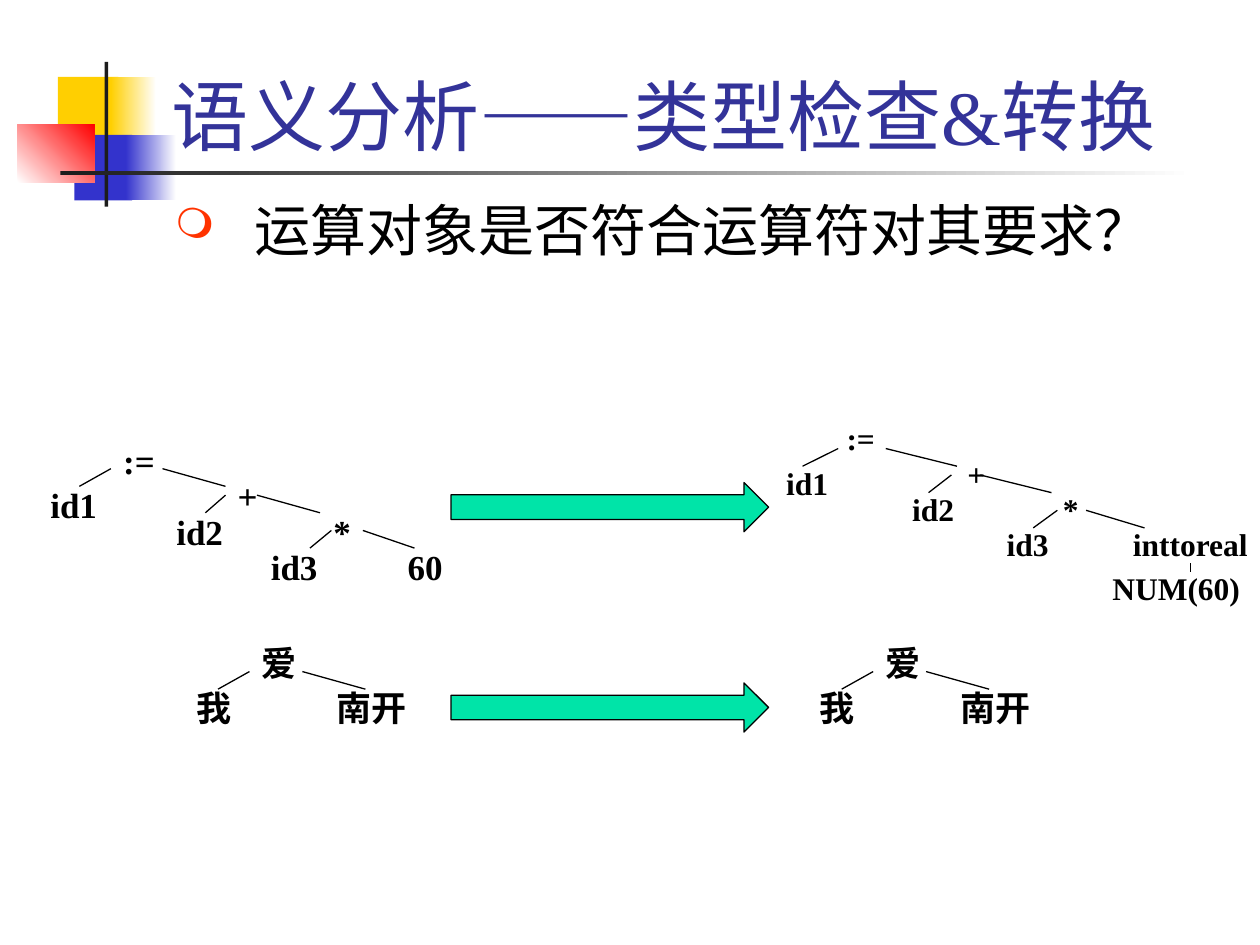
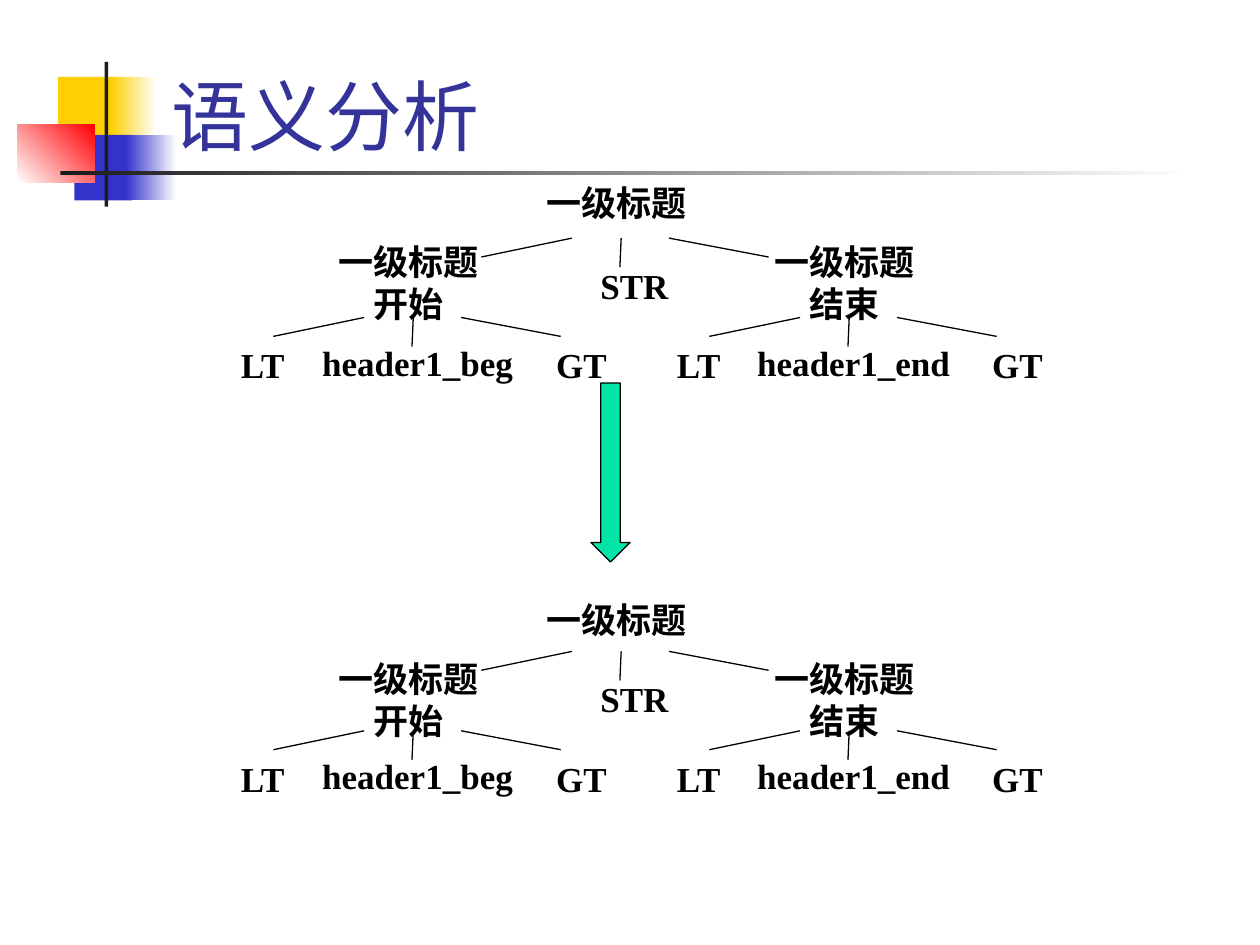
from lxml import etree
from pptx import Presentation
from pptx import util as u
from pptx.dml.color import RGBColor
from pptx.enum import lang, shapes, text
from pptx.oxml.ns import qn

PX = 9144
FONT = "Times New Roman"
COLORS = {
    "white": "FFFFFF",
    "black": "000000",
    "title": "333399",
    "bullet": "FF3300",
    "arrow": "00E4A8",
    "gold": "FFCF01",
    "blue": "3333CC",
    "red": "FF0000",
    "rule": "1C1C1C",
}

BANDS = [
    ((46, 61, 48, 52), ["gold"], 0),
    ((88, 61, 36, 52), ["gold", "white"], 0),
    ((59, 107, 46, 52), ["blue"], 0),
    ((100, 107, 40, 52), ["blue", "white"], 0),
    ((14, 99, 61, 46), ["white", "red"], 45),
    ((83, 49, 3, 115), ["rule"], 0),
    ((48, 136, 900, 3), ["rule", "white"], 0),
]

EXPRESSION_NODES = [
    (":=", 88, 344, 67),
    ("id1", -4, 379, 125),
    ("id2", 96, 400, 125),
    ("id3", 171, 428, 125),
    ("+", 163, 372, 67),
    ("*", 238, 400, 67),
]
EXPRESSION_BRANCHES = [
    (63, 386, 25, -14),
    (129, 372, 50, 14),
    (204, 393, 50, 14),
    (288, 421, 41, 14),
    (246, 435, 17, -14),
    (163, 407, 16, -14),
]


def px(*lengths):
    return [u.Emu(round(length * PX)) for length in lengths]


def rgb(name):
    return RGBColor.from_string(COLORS[name])


def add_text(slide, words, box, size=20, color="black", bold=True,
             align=text.PP_ALIGN.CENTER, anchor=text.MSO_ANCHOR.TOP, bullet=None):
    frame = slide.shapes.add_textbox(*px(*box)).text_frame
    frame.word_wrap = True
    frame.vertical_anchor = anchor
    paragraph = frame.paragraphs[0]
    paragraph.alignment = align
    if bullet:
        add_bullet(paragraph, bullet)
    run = paragraph.add_run()
    run.text = words
    font = run.font
    font.name = FONT
    font.size = u.Pt(size)
    font.bold = bold
    font.color.rgb = rgb(color)
    font.language_id = lang.MSO_LANGUAGE_ID.SIMPLIFIED_CHINESE


def add_bullet(paragraph, mark, indent=63):
    properties = paragraph._p.get_or_add_pPr()
    properties.set("marL", str(indent * PX))
    properties.set("indent", str(-indent * PX))
    color = etree.SubElement(properties, qn("a:buClr"))
    etree.SubElement(color, qn("a:srgbClr"), val=COLORS["bullet"])
    etree.SubElement(properties, qn("a:buSzPct"), val="75000")
    etree.SubElement(properties, qn("a:buChar"), char=mark)


def add_band(slide, box, tones, angle):
    band = slide.shapes.add_shape(shapes.MSO_SHAPE.RECTANGLE, *px(*box))
    band.shadow.inherit = False
    band.line.fill.background()
    if len(tones) == 1:
        band.fill.solid()
        band.fill.fore_color.rgb = rgb(tones[0])
    else:
        band.fill.gradient()
        band.fill.gradient_angle = angle
        for stop, tone in zip(band.fill.gradient_stops, tones):
            stop.color.rgb = rgb(tone)


def add_arrow(slide, direction, box):
    arrow = slide.shapes.add_shape(direction, *px(*box))
    arrow.shadow.inherit = False
    arrow.fill.solid()
    arrow.fill.fore_color.rgb = rgb("arrow")
    arrow.line.color.rgb = rgb("black")
    arrow.line.width = u.Pt(0.75)


def add_branch(slide, x, y, dx, dy):
    branch = slide.shapes.add_connector(
        shapes.MSO_CONNECTOR.STRAIGHT, *px(x, y, x + dx, y + dy))
    branch.line.color.rgb = rgb("black")
    branch.line.width = u.Pt(0.75)
    etree.SubElement(branch._element.spPr, qn("a:effectLst"))


def add_titled_slide(deck, title):
    slide = deck.slides.add_slide(deck.slide_layouts[6])
    for box, tones, angle in BANDS:
        add_band(slide, box, tones, angle)
    add_text(slide, title, (126, 8, 852, 125), size=44, color="title", bold=False,
             align=text.PP_ALIGN.LEFT, anchor=text.MSO_ANCHOR.BOTTOM)
    return slide


def add_expression_tree(slide, last_node, shift=(0, 0), stretch=1, size=20):
    right, down = shift
    for words, x, y, width in EXPRESSION_NODES + [last_node]:
        align = text.PP_ALIGN.LEFT if words == ":=" else text.PP_ALIGN.CENTER
        add_text(slide, words, (x + right, y + down, width * stretch, 2.2 * size),
                 size=size, align=align)
    for x, y, dx, dy in EXPRESSION_BRANCHES:
        add_branch(slide, x + right, y + down, dx * stretch, dy)


def add_sentence_tree(slide, left):
    add_text(slide, "爱", (left + 91, 504, 67, 44), align=text.PP_ALIGN.LEFT)
    add_text(slide, "我", (left, 540, 125, 44))
    add_text(slide, "南开", (left + 142, 540, 92, 44))
    add_branch(slide, left + 66, 547, 25, -14)
    add_branch(slide, left + 133, 533, 50, 14)


def add_fan(slide, x, y):
    add_branch(slide, x - 39, y, -72, 15)
    add_branch(slide, x, y, -1, 23)
    add_branch(slide, x + 38, y, 79, 15)


def add_heading_tree(slide, heading_top, fan_top):
    add_text(slide, "一级标题", (413, heading_top, 152, 44))
    add_fan(slide, 493, fan_top)
    add_text(slide, "STR", (413, fan_top + 16, 181, 44))
    tag_top = fan_top + 63
    for center, tag, token in ((328, "一级标题开始", "header1_beg"),
                               (674, "一级标题结束", "header1_end")):
        add_text(slide, tag, (center - 80, heading_top + 47, 152, 77))
        add_fan(slide, center, tag_top)
        add_text(slide, "LT", (center - 150, tag_top + 16, 61, 44))
        add_text(slide, token, (center - 87, tag_top + 14, 181, 44))
        add_text(slide, "GT", (center + 103, tag_top + 16, 61, 44))


def build_type_check(deck):
    slide = add_titled_slide(deck, "语义分析——类型检查&转换")
    add_text(slide, "运算对象是否符合运算符对其要求？", (129, 150, 850, 517),
             size=32, bold=False, align=text.PP_ALIGN.LEFT, bullet="❍")
    for top in (383, 542):
        add_arrow(slide, shapes.MSO_SHAPE.RIGHT_ARROW, (358, top, 252, 39))
    add_expression_tree(slide, ("60", 304, 428, 67))
    add_expression_tree(slide, ("inttoreal", 304, 428, 118),
                        shift=(574, -16), stretch=1.13, size=18)
    add_text(slide, "NUM(60)", (871, 447, 125, 40), size=18)
    add_branch(slide, 945, 447, 0, 7)
    for left in (107, 602):
        add_sentence_tree(slide, left)


def build_heading_analysis(deck):
    slide = add_titled_slide(deck, "语义分析")
    add_arrow(slide, shapes.MSO_SHAPE.DOWN_ARROW, (469, 304, 31, 142))
    add_heading_tree(slide, heading_top=139, fan_top=189)
    add_heading_tree(slide, heading_top=470, fan_top=517)


def main():
    deck = Presentation()
    deck.slide_width, deck.slide_height = px(1000, 750)
    build_type_check(deck)
    build_heading_analysis(deck)
    deck.save("out.pptx")


if __name__ == "__main__":
    main()
